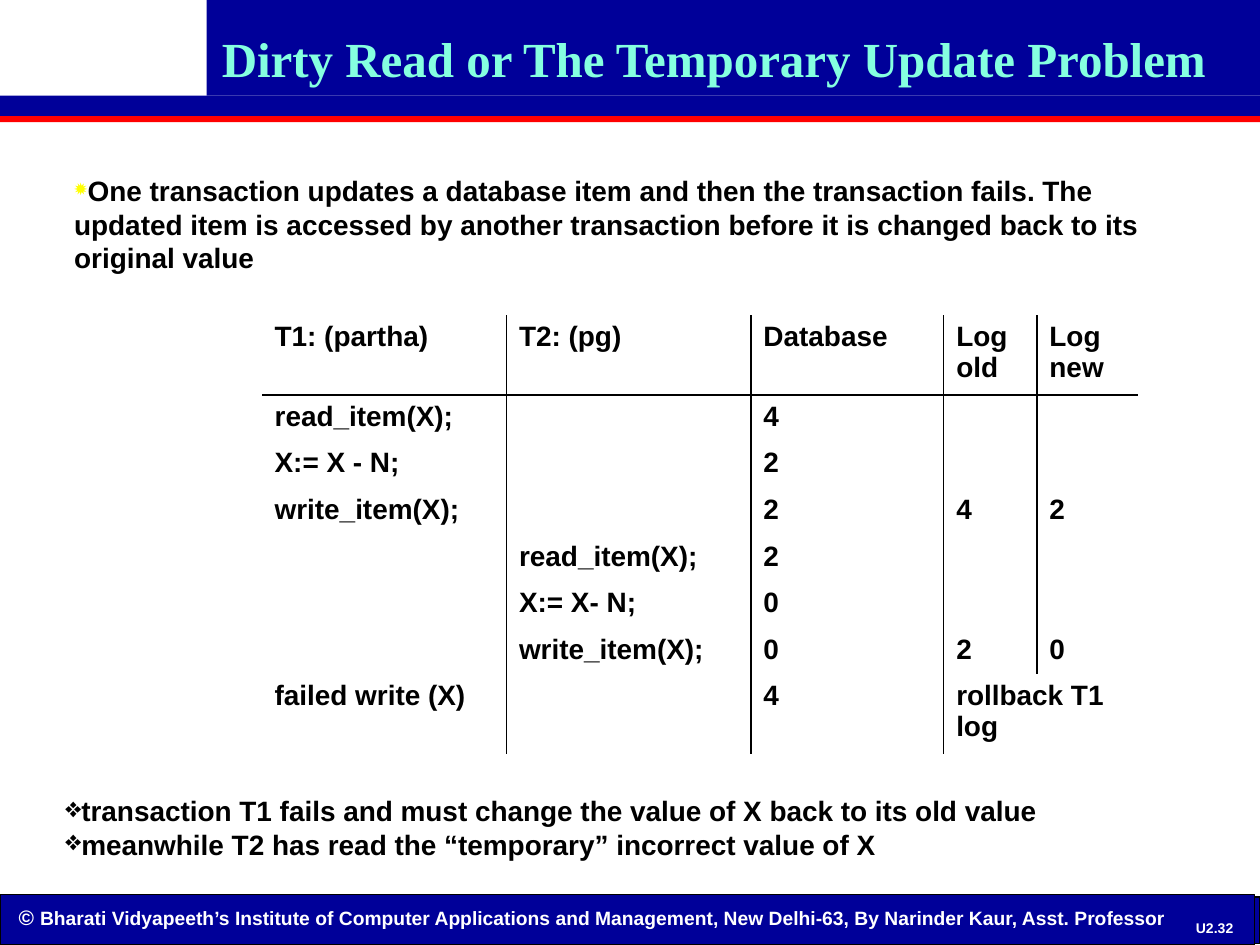
from dataclasses import dataclass

from lxml import etree
from pptx import Presentation
from pptx.dml.color import RGBColor
from pptx.enum.shapes import MSO_SHAPE
from pptx.enum.text import MSO_ANCHOR, PP_ALIGN
from pptx.oxml.ns import qn
from pptx.util import Inches, Pt

RECTANGLE = MSO_SHAPE.RECTANGLE
LEFT, CENTER = PP_ALIGN.LEFT, PP_ALIGN.CENTER
TOP, MIDDLE = MSO_ANCHOR.TOP, MSO_ANCHOR.MIDDLE
TITLE_ONLY = 5


@dataclass(frozen=True)
class Theme:
    navy: str = "000099"
    red: str = "FF0000"
    aqua: str = "85FFE0"
    yellow: str = "FFFF00"
    black: str = "000000"
    white: str = "FFFFFF"
    body_font: str = "Arial"
    title_font: str = "Times New Roman"
    title_size: int = 28
    body_size: int = 16
    symbol_size: int = 12
    footer_size: int = 11
    number_size: int = 8


THEME = Theme()

HEADINGS = ["T1: (partha)", "T2: (pg)", "Database", "Log\nold", "Log\nnew"]
STEPS = [
    ["read_item(X);", "", "4", "", ""],
    ["X:= X - N;", "", "2", "", ""],
    ["write_item(X);", "", "2", "4", "2"],
    ["", "read_item(X);", "2", "", ""],
    ["", "X:= X- N;", "0", "", ""],
    ["", "write_item(X);", "0", "2", "0"],
    ["failed write (X)", "", "4", "rollback T1 log", ""],
]
COLUMN_WIDTHS = [1.94, 1.94, 1.53, 0.74, 0.8]
TALL_ROW, STEP_ROW = 0.63, 0.37


def add_span(para, text, size=THEME.body_size, color=THEME.black, font=THEME.body_font):
    span = para.add_run()
    span.text = text
    span.font.name = font
    span.font.size = Pt(size)
    span.font.bold = True
    span.font.color.rgb = RGBColor.from_string(color)


def write_text(frame, text, align=LEFT, bullet=None, **style):
    """Write each line of the text as a paragraph of the frame."""
    for index, line in enumerate(text.split("\n")):
        para = frame.paragraphs[0] if index == 0 else frame.add_paragraph()
        para.alignment = align
        if bullet:
            add_bullet(para, **bullet)
        if line:
            add_span(para, line, **style)
        else:
            end = etree.SubElement(para._p, qn("a:endParaRPr"))
            end.set("sz", str(THEME.body_size * 100))


def add_bullet(para, char, color=THEME.black, percent=100):
    props = para._p.get_or_add_pPr()
    props.set("marL", "0")
    props.set("indent", "0")
    fill = etree.SubElement(props, qn("a:buClr"))
    etree.SubElement(fill, qn("a:srgbClr")).set("val", color)
    etree.SubElement(props, qn("a:buSzPct")).set("val", str(percent * 1000))
    etree.SubElement(props, qn("a:buChar")).set("char", char)


def add_text_box(page, left, top, width, height, anchor=TOP):
    box = page.shapes.add_textbox(Inches(left), Inches(top), Inches(width), Inches(height))
    frame = box.text_frame
    frame.word_wrap = True
    frame.vertical_anchor = anchor
    return frame


def add_bar(page, left, top, width, height, color, outline=None):
    bar = page.shapes.add_shape(
        RECTANGLE, Inches(left), Inches(top), Inches(width), Inches(height))
    bar.shadow.inherit = False
    bar.fill.solid()
    bar.fill.fore_color.rgb = RGBColor.from_string(color)
    if outline:
        bar.line.color.rgb = RGBColor.from_string(outline)
        bar.line.width = Pt(0.75)
    else:
        bar.line.fill.background()


def add_header(page, left, top, width):
    notch, band, strip, rule = 1.64, 0.76, 0.16, 0.05
    add_bar(page, left, top + band + strip, width, rule, THEME.red)
    add_bar(page, left + notch, top, width - notch, band, THEME.navy)
    add_bar(page, left, top + band, width, strip, THEME.navy)


def add_footer(page, left, top, width, height):
    add_bar(page, left, top + 0.02, width, height - 0.03, THEME.navy, THEME.black)
    add_bar(page, left, top, width - 0.04, height, THEME.navy, THEME.black)
    credit = add_text_box(page, left + 0.05, top + 0.03, 9.48, 0.31)
    write_text(credit, "© ", size=THEME.symbol_size, color=THEME.white)
    add_span(
        credit.paragraphs[0],
        "Bharati Vidyapeeth’s Institute of Computer Applications and Management, "
        "New Delhi-63, By Narinder Kaur, Asst. Professor",
        size=THEME.footer_size, color=THEME.white)
    number = add_text_box(page, left + 9.38, top + 0.17, 0.52, 0.19, anchor=MIDDLE)
    number.margin_left = number.margin_right = 0
    number.margin_top = number.margin_bottom = 0
    write_text(number, "U2.32", align=CENTER, size=THEME.number_size, color=THEME.white)


def place_title(page, left, top, width, height):
    title = page.shapes.title
    title.left, title.top = Inches(left), Inches(top)
    title.width, title.height = Inches(width), Inches(height)
    title.text_frame.vertical_anchor = MIDDLE
    write_text(title.text_frame, "Dirty Read or The Temporary Update Problem",
               align=CENTER, size=THEME.title_size, color=THEME.aqua,
               font=THEME.title_font)


def set_borders(cell, drawn):
    """Draw the named cell edges and clear the others."""
    props = cell._tc.get_or_add_tcPr()
    for index, edge in enumerate(("lnL", "lnR", "lnT", "lnB")):
        line = etree.Element(qn(f"a:{edge}"))
        if edge in drawn:
            line.set("w", str(Pt(1)))
            fill = etree.SubElement(line, qn("a:solidFill"))
            etree.SubElement(fill, qn("a:srgbClr")).set("val", THEME.black)
        else:
            etree.SubElement(line, qn("a:noFill"))
        props.insert(index, line)


def add_schedule(page, left, top):
    rows = [HEADINGS] + STEPS
    last_row, last_column = len(rows) - 1, len(HEADINGS) - 1
    heights = [TALL_ROW] + [STEP_ROW] * (len(rows) - 2) + [TALL_ROW]
    table = page.shapes.add_table(
        len(rows), len(HEADINGS), Inches(left), Inches(top),
        Inches(sum(COLUMN_WIDTHS)), Inches(sum(heights))).table
    table.first_row = table.horz_banding = False
    for column, width in zip(table.columns, COLUMN_WIDTHS):
        column.width = Inches(width)
    for r, (values, height) in enumerate(zip(rows, heights)):
        table.rows[r].height = Inches(height)
        for c, value in enumerate(values):
            cell = table.cell(r, c)
            cell.fill.background()
            write_text(cell.text_frame, value)
            rules = {"lnL": c > 0, "lnR": c < last_column, "lnT": r == 1, "lnB": r == 0}
            if r == last_row and c >= last_column - 1:
                rules.update(lnL=c < last_column, lnR=False)
            set_borders(cell, [edge for edge, shown in rules.items() if shown])
    table.cell(last_row, last_column - 1).merge(table.cell(last_row, last_column))


def build_slide(deck):
    page = deck.slides.add_slide(deck.slide_layouts[TITLE_ONLY])
    add_header(page, 0, 0, 10)
    add_footer(page, 0, 7.1, 10, 0.4)
    place_title(page, 1, 0.17, 9.33, 0.58)
    page.shapes._spTree.append(page.shapes.title._element)
    write_text(
        add_text_box(page, 0.49, 1.33, 9.01, 0.91),
        "One transaction updates a database item and then the transaction fails. "
        "The updated item is accessed by another transaction before it is changed "
        "back to its original value",
        bullet={"char": "✹", "color": THEME.yellow, "percent": 80})
    add_schedule(page, 2.08, 2.5)
    write_text(
        add_text_box(page, 0.42, 6.25, 8.91, 0.64),
        "transaction T1 fails and must change the value of X back to its old value\n"
        "meanwhile T2 has read the “temporary” incorrect value of X",
        bullet={"char": "❖"})


def main():
    deck = Presentation()
    deck.slide_width, deck.slide_height = Inches(10), Inches(7.5)
    build_slide(deck)
    deck.save("out.pptx")


if __name__ == "__main__":
    main()
